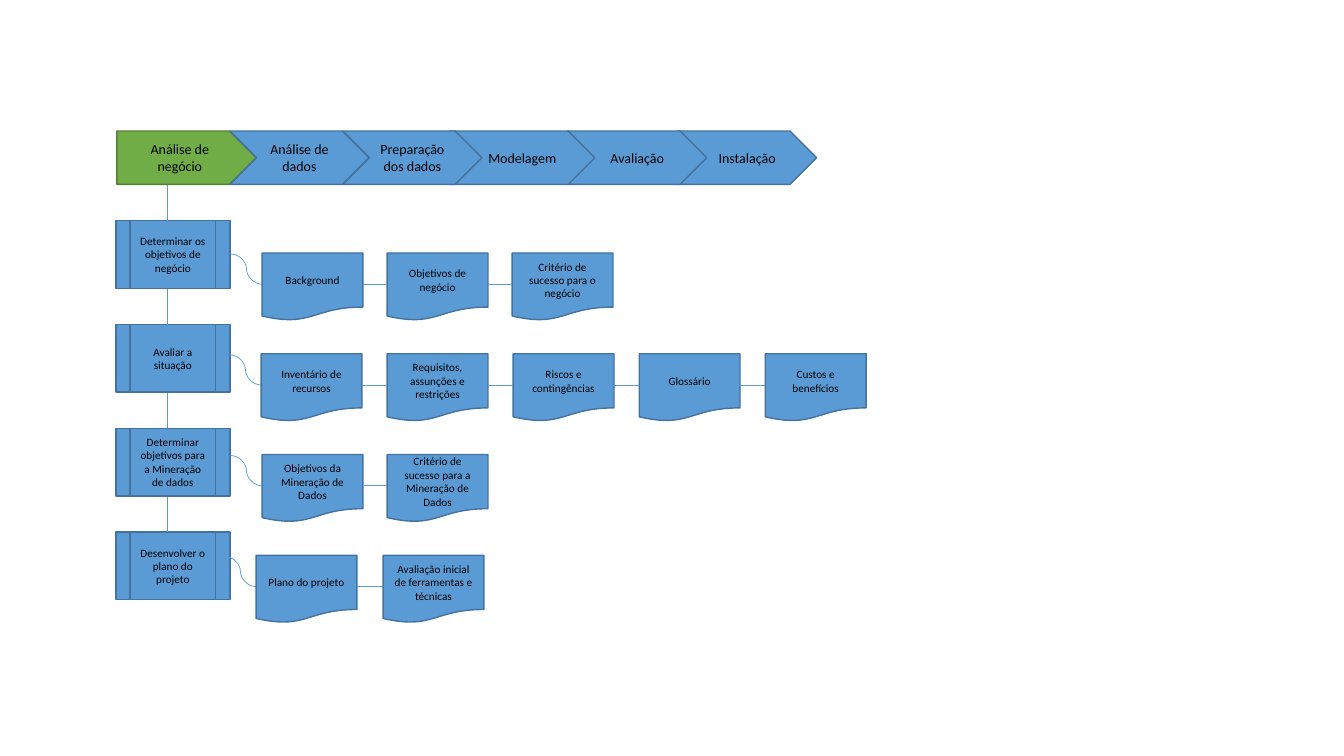
from dataclasses import dataclass

from lxml import etree
from pptx import Presentation
from pptx.dml.color import RGBColor
from pptx.enum.shapes import MSO_CONNECTOR, MSO_SHAPE
from pptx.enum.text import MSO_ANCHOR, PP_ALIGN
from pptx.oxml.ns import qn
from pptx.util import Pt

PX = 9144  # EMU per px, 100 px to the inch
STRAIGHT, CURVE = MSO_CONNECTOR.STRAIGHT, MSO_CONNECTOR.CURVE
PENTAGON, CHEVRON = MSO_SHAPE.PENTAGON, MSO_SHAPE.CHEVRON
PROCESS = MSO_SHAPE.FLOWCHART_PREDEFINED_PROCESS
DOCUMENT = MSO_SHAPE.FLOWCHART_DOCUMENT
MIDDLE, CENTER = MSO_ANCHOR.MIDDLE, PP_ALIGN.CENTER


@dataclass(frozen=True)
class Theme:
    font: str = "Calibri"
    phase_size: int = 10
    box_size: int = 8
    text: str = "000000"
    blue: str = "5B9BD5"
    blue_edge: str = "43739E"
    green: str = "70AD47"
    green_edge: str = "538035"
    edge_width: float = 1
    link_width: float = 0.5


theme = Theme()
presentation = Presentation()
presentation.slide_width = 1333 * PX
presentation.slide_height = 750 * PX
slide = presentation.slides.add_slide(presentation.slide_layouts[6])


def add_box(kind, left, top, width, height, text, size,
            fill=theme.blue, edge=theme.blue_edge):
    shape = slide.shapes.add_shape(kind, left * PX, top * PX, width * PX, height * PX)
    shape.shadow.inherit = False
    shape.fill.solid()
    shape.fill.fore_color.rgb = RGBColor.from_string(fill)
    shape.line.color.rgb = RGBColor.from_string(edge)
    shape.line.width = Pt(theme.edge_width)
    shape.text_frame.word_wrap = True
    shape.text_frame.vertical_anchor = MIDDLE
    paragraph = shape.text_frame.paragraphs[0]
    paragraph.alignment = CENTER
    run = paragraph.add_run()
    run.text = text
    run.font.name = theme.font
    run.font.size = Pt(size)
    run.font.color.rgb = RGBColor.from_string(theme.text)


def add_link(kind, x1, y1, x2, y2):
    link = slide.shapes.add_connector(kind, x1 * PX, y1 * PX, x2 * PX, y2 * PX)
    link.line.color.rgb = RGBColor.from_string(theme.blue)
    link.line.width = Pt(theme.link_width)
    etree.SubElement(link._element.spPr, qn("a:effectLst"))


# Phases: the first in green, the others stacked from last to first
PHASE_TOP, PHASE_HEIGHT = 130, 53
add_box(PENTAGON, 116, PHASE_TOP, 138, PHASE_HEIGHT, "Análise de negócio",
        theme.phase_size, theme.green, theme.green_edge)
phases = [
    ("Análise de dados", 228, 138),
    ("Preparação dos dados", 340, 138),
    ("Modelagem", 446, 144),
    ("Avaliação", 563, 138),
    ("Instalação", 672, 138),
]
for name, left, width in reversed(phases):
    add_box(CHEVRON, left, PHASE_TOP, width, PHASE_HEIGHT, name, theme.phase_size)

# Tasks: name, left edge and pitch of the documents, documents
tasks = [
    ("Determinar os objetivos de negócio", 260, 124,
     ["Background", "Objetivos de negócio", "Critério de sucesso para o negócio"]),
    ("Avaliar a situação", 259, 125,
     ["Inventário de recursos", "Requisitos, assunções e restrições",
      "Riscos e contingências", "Glossário", "Custos e benefícios"]),
    ("Determinar objetivos para a Mineração de dados", 260, 124,
     ["Objetivos da Mineração de Dados",
      "Critério de sucesso para a Mineração de Dados"]),
    ("Desenvolver o plano do projeto", 254, 126,
     ["Plano do projeto", "Avaliação inicial de ferramentas e técnicas"]),
]
TASK_LEFT, TASK_TOP, TASK_PITCH, TASK_WIDTH = 115, 219, 103, 113
DOCUMENT_TOP, DOCUMENT_PITCH, DOCUMENT_WIDTH = 251, 100, 100
BOX_HEIGHT = 67
TRUNK_X, TRUNK_LENGTH = 166, 35
CURVE_WIDTH, LINK_DROP = 31, 31

for row, (task, first_left, pitch, documents) in enumerate(tasks):
    task_top = TASK_TOP + row * TASK_PITCH
    add_box(PROCESS, TASK_LEFT, task_top, TASK_WIDTH, BOX_HEIGHT, task, theme.box_size)
    add_link(STRAIGHT, TRUNK_X, task_top - TRUNK_LENGTH, TRUNK_X, task_top)

    document_top = DOCUMENT_TOP + row * DOCUMENT_PITCH
    link_y = document_top + LINK_DROP
    add_link(CURVE, first_left - CURVE_WIDTH, document_top + 1, first_left, link_y)
    for column, document in enumerate(documents):
        left = first_left + column * pitch
        add_box(DOCUMENT, left, document_top, DOCUMENT_WIDTH, BOX_HEIGHT,
                document, theme.box_size)
        if column:
            add_link(STRAIGHT, left - pitch + DOCUMENT_WIDTH, link_y, left, link_y)

presentation.save("out.pptx")
